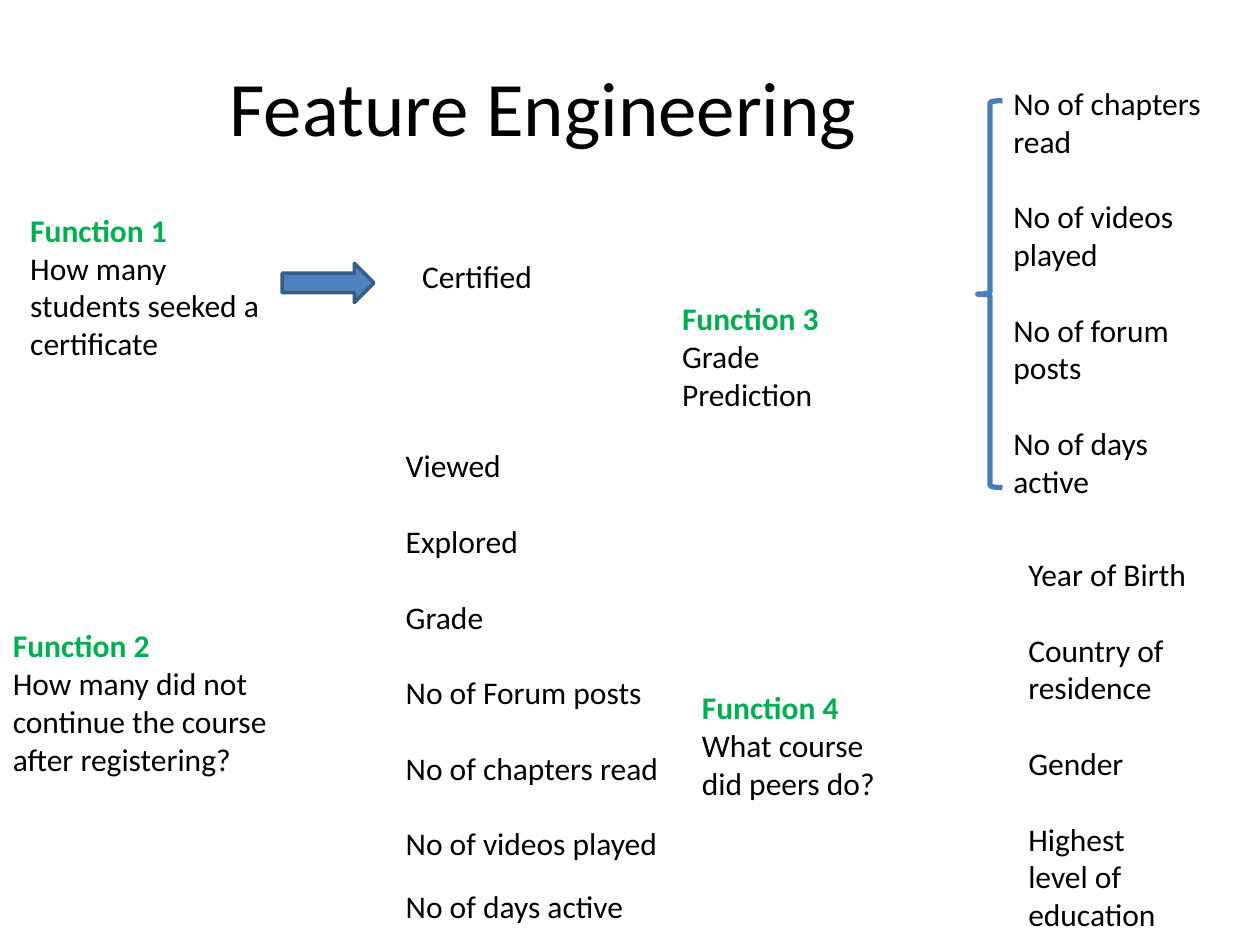
from dataclasses import dataclass

from pptx import Presentation
from pptx.dml.color import RGBColor
from pptx.enum.shapes import MSO_SHAPE
from pptx.enum.text import MSO_ANCHOR, PP_ALIGN
from pptx.util import Cm, Pt

ARROW, BRACE = MSO_SHAPE.RIGHT_ARROW, MSO_SHAPE.LEFT_BRACE
TOP, LEFT = MSO_ANCHOR.TOP, PP_ALIGN.LEFT


@dataclass(frozen=True)
class Theme:
    font: str = "Calibri"
    title_size: Pt = Pt(44)
    body_size: Pt = Pt(18)
    text: RGBColor = RGBColor(0x00, 0x00, 0x00)
    heading: RGBColor = RGBColor(0x00, 0xAF, 0x50)
    arrow_fill: RGBColor = RGBColor(0x4F, 0x81, 0xBC)
    arrow_line: RGBColor = RGBColor(0x38, 0x5D, 0x89)
    brace_line: RGBColor = RGBColor(0x49, 0x7D, 0xBA)


theme = Theme()
LINE = 0.762  # height of one body line, in cm


def fill_text(frame, paragraphs, size):
    """Write (text, colour, bold) paragraphs into a frame with tight margins."""
    frame.word_wrap = True
    frame.vertical_anchor = TOP
    frame.margin_left, frame.margin_top = Cm(0.03), Cm(0.06)
    frame.margin_right = frame.margin_bottom = 0
    for index, (text, colour, bold) in enumerate(paragraphs):
        paragraph = frame.add_paragraph() if index else frame.paragraphs[0]
        paragraph.text = text
        paragraph.alignment = LEFT
        paragraph.font.name = theme.font
        paragraph.font.size = size
        paragraph.font.bold = bold
        paragraph.font.color.rgb = colour


def add_text(left, top, width, lines, paragraphs):
    box = slide.shapes.add_textbox(Cm(left), Cm(top), Cm(width), Cm(lines * LINE + 0.06))
    fill_text(box.text_frame, paragraphs, theme.body_size)


prs = Presentation()
prs.slide_width, prs.slide_height = Cm(25.4), Cm(19.05)
slide = prs.slides.add_slide(prs.slide_layouts[5])

# Title
title = slide.shapes.title
title.left, title.top, title.width, title.height = Cm(4.6), Cm(1.14), Cm(13.2), Cm(1.93)
fill_text(title.text_frame, [("Feature Engineering", theme.text, False)], theme.title_size)

# Functions: left, top, width, heading, description
functions = [
    (0.58, 4.19, 5, "Function 1", "How many\vstudents seeked a\vcertificate"),
    (0.23, 12.57, 5.6, "Function 2", "How many did not\vcontinue the course\vafter registering?"),
    (13.72, 5.97, 3.1, "Function 3", "Grade\vPrediction"),
    (14.12, 13.82, 3.9, "Function 4", "What course\vdid peers do?"),
]
for left, top, width, heading, description in functions:
    lines = 2 + description.count("\v")
    add_text(left, top, width, lines,
             [(heading, theme.heading, True), (description, theme.text, False)])

# Feature columns: left, first top, width, items, each followed by one line of gap
feature_columns = [
    (8.48, 5.13, 2.6, ["Certified"]),
    (8.15, 8.94, 5.5, ["Viewed", "Explored", "Grade", "No of Forum posts",
                       "No of chapters read", "No of videos played"]),
    (8.15, 17.83, 5.5, ["No of days active"]),
    (20.4, 1.63, 4.2, ["No of chapters\vread", "No of videos\vplayed",
                       "No of forum\vposts", "No of days\vactive"]),
    (20.7, 11.13, 3.6, ["Year of Birth", "Country of\vresidence", "Gender",
                        "Highest\vlevel of\veducation"]),
]
for left, top, width, features in feature_columns:
    for feature in features:
        lines = 1 + feature.count("\v")
        add_text(left, top, width, lines, [(feature, theme.text, False)])
        top += (lines + 1) * LINE

# Arrow from function 1 to its feature
arrow = slide.shapes.add_shape(ARROW, Cm(5.69), Cm(5.31), Cm(1.85), Cm(0.79))
arrow.shadow.inherit = False
arrow.fill.solid()
arrow.fill.fore_color.rgb = theme.arrow_fill
arrow.line.color.rgb = theme.arrow_line
arrow.line.width = Pt(2)

# Brace around the features of function 3
brace = slide.shapes.add_shape(BRACE, Cm(19.71), Cm(2.03), Cm(0.5), Cm(7.8))
brace.shadow.inherit = False
brace.adjustments[0] = 0.08
brace.fill.background()
brace.line.color.rgb = theme.brace_line
brace.line.width = Pt(3)

prs.save("out.pptx")
